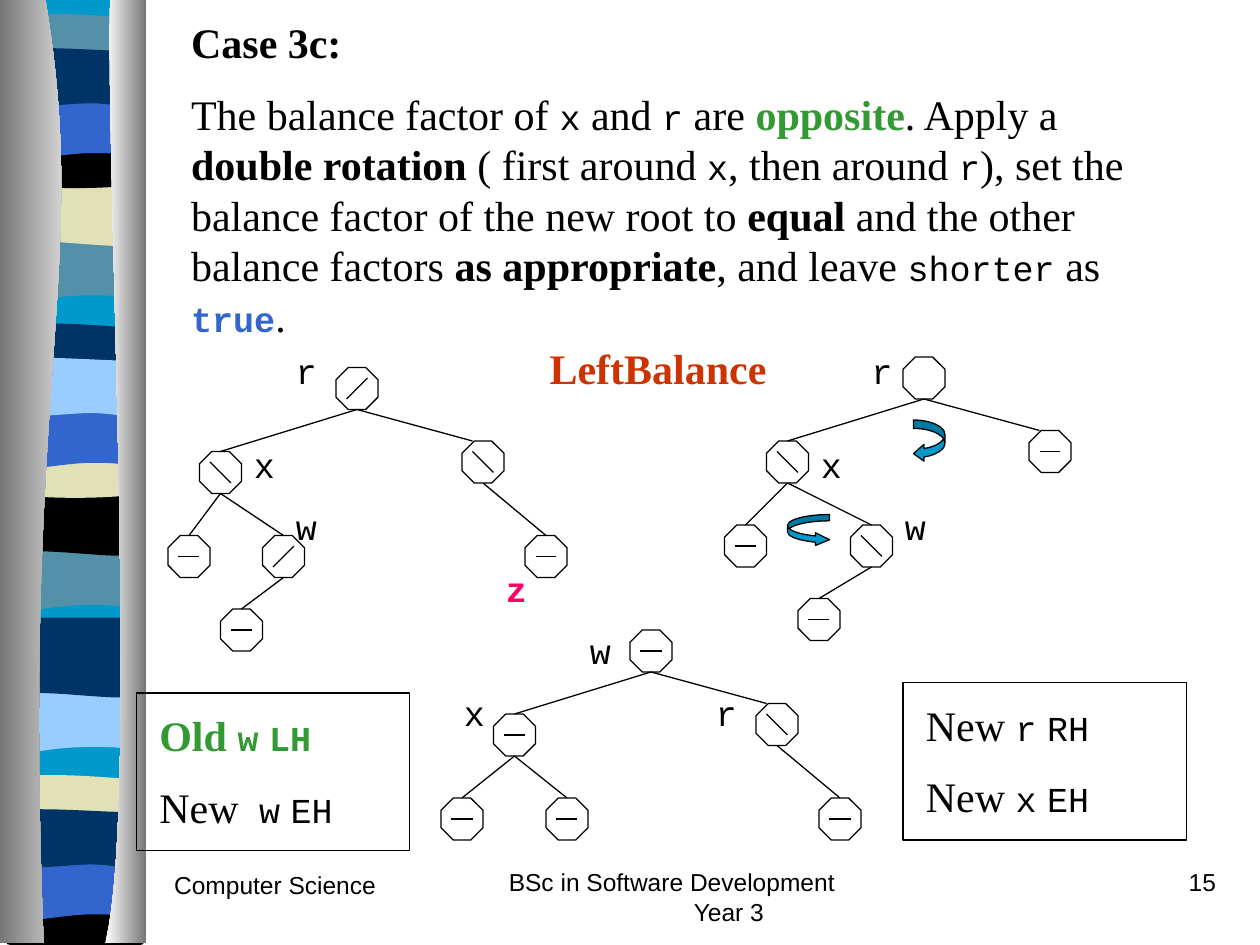
from dataclasses import dataclass
from typing import NamedTuple

from pptx import Presentation
from pptx.dml.color import RGBColor
from pptx.enum import shapes, text
from pptx.oxml.ns import qn
from pptx.util import Pt

COLORS = {
    "black": "000000", "cyan": "0099CC", "teal": "5490A8", "sand": "E1E1B7",
    "blue": "3366CC", "navy": "003366", "sky": "99CCFF", "green": "339933",
    "red": "CC3300", "pink": "FF0066", "white": "FFFFFF", "gray": "767676",
}
NODE_SIZE = 24
MARKS = {"-": (6, 12, 18, 12), "\\": (6, 6, 18, 18), "/": (18, 6, 6, 18)}
WAVES = {
    "tail": [(82, 133), (82, 170.5), (28, 164.5, 17, 176.5, 4, 170.5), (4, 133)],
    "swell": [(82, 95), (82, 139), (69, 144, 28, 135, 4, 139), (4, 95)],
    "cap": [(82, 11), (82, 32), (69, 35, 17, 35, 4, 32), (4, 11),
            (9, 7.5, 21, 8, 34, 8), (47, 8, 72, 10, 82, 11)],
    "sag": [(82, 78), (82, 104.5), (69, 108.5, 17, 108.5, 4, 104.5), (4, 78),
            (52, 81, 65, 78, 82, 78)],
    "arch": [(82, 53), (82, 92), (70, 87.5, 65, 87.5, 52, 87.5),
             (39, 87.5, 16, 92, 4, 92), (4, 53)],
    "ripple": [(82, 29), (82, 59), (77, 63, 65, 59, 52, 59),
               (39, 59, 12, 63, 4, 59), (4, 29), (15, 25.5, 57, 29, 70, 29)],
}
BANDS = [
    ("tail", 0, "teal"), ("swell", 0, "sand"), ("cap", 0, "teal"),
    ("sag", 0, "black"), ("arch", 0, "blue"), ("ripple", 0, "navy"),
    ("tail", 177, "teal"), ("swell", 177, "black"), ("cap", 177, "navy"),
    ("sag", 177, "sand"), ("arch", 177, "blue"), ("ripple", 177, "sky"),
    ("tail", 258, "sky"), ("swell", 258, "navy"), ("cap", 435, "sand"),
    ("sag", 435, "black"), ("arch", 435, "blue"), ("ripple", 435, "navy"),
]
LEFT_EDGE = [(26, 0), (52, 155, 12, 213, 25, 539), (0, 539), (0, 0)]
RIGHT_EDGE = [(63, 0), (60, 90, 80, 465, 60, 539), (83.5, 539), (83.5, 0)]


class Style(NamedTuple):
    font: str = "Times New Roman"
    size: float = 24
    color: str = "black"
    bold: bool = False


SERIF = Style()
BOLD = Style(bold=True)
MONO = Style("Courier New", 20)
ARIAL = Style("Arial", 14)
GREEN = Style(color="green", bold=True)
GREEN_MONO = Style("Courier New", 20, "green", True)
RED = Style(color="red", bold=True)
PINK_MONO = Style("Courier New", 20, "pink", True)


@dataclass
class Node:
    left: float
    top: float
    mark: str = "-"
    parent: int = -1
    entry: float = 12


@dataclass
class Note:
    frame: tuple
    caption: tuple
    lines: list
    stops: list


@dataclass
class Labels:
    frame: tuple
    lines: list
    stops: list


TREES = [
    [Node(192, 210, "/"), Node(114, 258, "\\", 0), Node(264, 252, "\\", 0, 6),
     Node(96, 306, "-", 1), Node(150, 306, "/", 1), Node(126, 348, "-", 4),
     Node(300, 306, "-", 2)],
    [Node(516, 204, ""), Node(438, 252, "\\", 0), Node(588, 246, "-", 0, 6),
     Node(414, 300, "-", 1), Node(486, 300, "\\", 1), Node(456, 342, "-", 4)],
    [Node(360, 360), Node(282, 408, "-", 0), Node(432, 402, "\\", 0, 6),
     Node(252, 456, "-", 1), Node(312, 456, "-", 1), Node(468, 456, "-", 2)],
]
LABELS = [
    Labels((114, 192, 534, 36),
           [[("\tr\t", MONO), ("LeftBalance", RED), ("\tr", MONO)]],
           [(48, 193, 377)]),
    Labels((78, 250, 594, 218),
           [[("\tx\tx", MONO)], [("\tw\tw", MONO)], [("\tz", PINK_MONO)],
            [("\tw", MONO)], [("\tx\tr", MONO)]],
           [(60, 384), (84, 432), (204,), (252,), (180, 324)]),
]
NOTES = [
    Note((78, 396, 156, 90), (84, 402, 144, 79), [
        [("Old ", GREEN), ("w", GREEN_MONO), (" ", GREEN), ("LH", GREEN_MONO)],
        [("New\t", SERIF), ("w", MONO), (" ", SERIF), ("EH", MONO)]], [(), (57,)]),
    Note((516, 390, 162, 90), (522, 396, 150, 79), [
        [("New ", SERIF), (name, MONO), (" ", SERIF), (factor, MONO)]
        for name, factor in (("r", "RH"), ("x", "EH"))], []),
]
RULE = [
    ("The balance factor of ", SERIF), ("x", MONO), (" and ", SERIF), ("r", MONO),
    (" are ", SERIF), ("opposite", GREEN), (". Apply a ", SERIF),
    ("double rotation", BOLD), (" ( first around ", SERIF), ("x", MONO),
    (", then around ", SERIF), ("r", MONO),
    ("), set the balance factor of the new root to ", SERIF), ("equal", BOLD),
    (" and the other balance factors ", SERIF), ("as appropriate", BOLD),
    (", and leave ", SERIF), ("shorter", MONO), (" as ", SERIF),
    ("true", Style("Courier New", 20, "blue", True)), (".", SERIF),
]


def rgb(name: str) -> RGBColor:
    return RGBColor.from_string(COLORS[name])


def place(shape, frame: tuple) -> None:
    shape.left, shape.top, shape.width, shape.height = map(Pt, frame)


def write(shape, lines: list, align=text.PP_ALIGN.LEFT, gap: float = 0) -> None:
    frame = shape.text_frame
    frame.word_wrap = True
    frame.auto_size = text.MSO_AUTO_SIZE.NONE
    frame.vertical_anchor = text.MSO_ANCHOR.TOP
    for index, line in enumerate(lines):
        para = frame.add_paragraph() if index else frame.paragraphs[0]
        para.alignment = align
        para.space_before = Pt(gap if index else 0)
        for words, style in line:
            span = para.add_run()
            span.text = words
            span.font.name, span.font.size = style.font, Pt(style.size)
            span.font.bold = style.bold
            span.font.color.rgb = rgb(style.color)


def add_text(page, frame: tuple, lines: list, align=text.PP_ALIGN.LEFT, gap: float = 0):
    box = page.shapes.add_textbox(*map(Pt, frame))
    write(box, lines, align, gap)
    return box


def set_stops(box, stops: list) -> None:
    for para, positions in zip(box.text_frame.paragraphs, stops):
        properties = para._p.get_or_add_pPr()
        tabs = properties.makeelement(qn("a:tabLst"), {})
        for position in positions:
            tabs.append(tabs.makeelement(qn("a:tab"), {"pos": str(Pt(position)), "algn": "l"}))
        properties.append(tabs)


def add_outlined(page, kind, frame: tuple, fill: str = "", adjustments: tuple = ()) -> None:
    shape = page.shapes.add_shape(kind, *map(Pt, frame))
    shape.shadow.inherit = False
    shape.line.color.rgb, shape.line.width = rgb("black"), Pt(0.75)
    if fill:
        shape.fill.solid()
        shape.fill.fore_color.rgb = rgb(fill)
    else:
        shape.fill.background()
    for index, value in enumerate(adjustments):
        shape.adjustments[index] = value


def add_line(page, *ends: float) -> None:
    line = page.shapes.add_connector(shapes.MSO_CONNECTOR.STRAIGHT, *map(Pt, ends))
    line.line.color.rgb, line.line.width = rgb("black"), Pt(0.75)
    properties = line._element.spPr
    properties.append(properties.makeelement(qn("a:effectLst"), {}))


def add_ribbon(page, steps: list, drop: float, *colors: str) -> None:
    points = [(Pt(x), Pt(y + drop)) for step in steps for x, y in zip(step[::2], step[1::2])]
    builder = page.shapes.build_freeform(*points[0], scale=1.0)
    builder.add_line_segments(points[1:], close=True)
    ribbon = builder.convert_to_shape()
    segments = iter(list(ribbon._element.iter(qn("a:lnTo"))))
    for step in steps[1:]:
        group = [next(segments) for _ in range(len(step) // 2)]
        if len(group) == 3:
            curve = group[0].makeelement(qn("a:cubicBezTo"), {})
            group[0].addprevious(curve)
            for segment in group:
                curve.append(segment[0])
                segment.getparent().remove(segment)
    ribbon.shadow.inherit = False
    ribbon.line.fill.background()
    if len(colors) == 1:
        ribbon.fill.solid()
        ribbon.fill.fore_color.rgb = rgb(colors[0])
    else:
        ribbon.fill.gradient()
        ribbon.fill.gradient_angle = 0
        for stop, color in zip(ribbon.fill.gradient_stops, colors):
            stop.color.rgb = rgb(color)


def add_tree(page, nodes: list) -> None:
    for node in nodes:
        add_outlined(page, shapes.MSO_SHAPE.OCTAGON,
                     (node.left, node.top, NODE_SIZE, NODE_SIZE), adjustments=(0.293,))
        if node.mark:
            x1, y1, x2, y2 = MARKS[node.mark]
            add_line(page, node.left + x1, node.top + y1, node.left + x2, node.top + y2)
        if node.parent >= 0:
            parent = nodes[node.parent]
            add_line(page, parent.left + NODE_SIZE / 2, parent.top + NODE_SIZE,
                     node.left + node.entry, node.top)


def main() -> None:
    deck = Presentation()
    deck.slide_width, deck.slide_height = Pt(720), Pt(540)
    page = deck.slides.add_slide(deck.slide_layouts[1])

    add_ribbon(page, [(4, 0), (82, 0), (82, 538), (4, 538)], 0, "cyan")
    for wave, drop, color in BANDS:
        add_ribbon(page, WAVES[wave], drop, color)
    add_ribbon(page, LEFT_EDGE, 0, "gray", "white")
    add_ribbon(page, RIGHT_EDGE, 0, "white", "gray")

    title, body = page.shapes.title, page.placeholders[1]
    place(title, (102, 6, 570, 38))
    write(title, [[("Case 3c:", BOLD)]])
    place(body, (102, 47, 570, 153))
    write(body, [RULE])
    bullet = body.text_frame.paragraphs[0]._p.get_or_add_pPr()
    bullet.set("marL", "0")
    bullet.set("indent", "0")
    bullet.append(bullet.makeelement(qn("a:buNone"), {}))

    for nodes in TREES:
        add_tree(page, nodes)
    add_outlined(page, shapes.MSO_SHAPE.CURVED_LEFT_ARROW, (522, 240, 18, 24),
                 "cyan", (0.267, 0.533, 0.333))
    add_outlined(page, shapes.MSO_SHAPE.CURVED_RIGHT_ARROW, (450, 294, 24, 18),
                 "cyan", (0.2, 0.4, 0.444))

    for labels in LABELS:
        set_stops(add_text(page, labels.frame, labels.lines, gap=11.35), labels.stops)
    for note in NOTES:
        set_stops(add_text(page, note.caption, note.lines, gap=12.2), note.stops)
        add_outlined(page, shapes.MSO_SHAPE.RECTANGLE, note.frame)

    add_text(page, (92.4, 493.4, 150, 36), [[("Computer Science", ARIAL)]])
    course = add_text(page, (282, 492, 228, 36),
                      [[("BSc in Software Development", ARIAL)], [("Year 3", ARIAL)]],
                      text.PP_ALIGN.CENTER)
    for para, left, right in zip(course.text_frame.paragraphs, (0, 41), (24, 0)):
        properties = para._p.get_or_add_pPr()
        properties.set("marL", str(Pt(left)))
        properties.set("marR", str(Pt(right)))
    add_text(page, (552, 492, 150, 36), [[("15", ARIAL)]], text.PP_ALIGN.RIGHT)

    deck.save("out.pptx")


if __name__ == "__main__":
    main()
